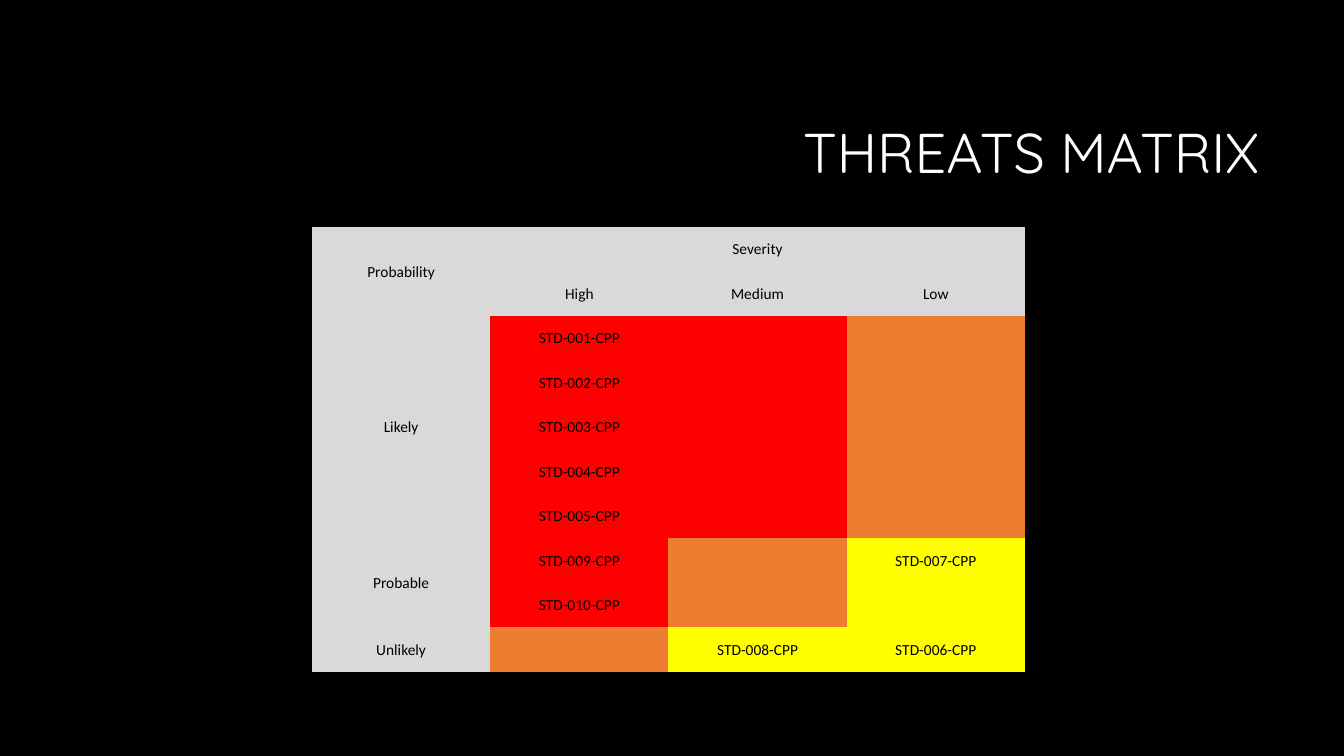
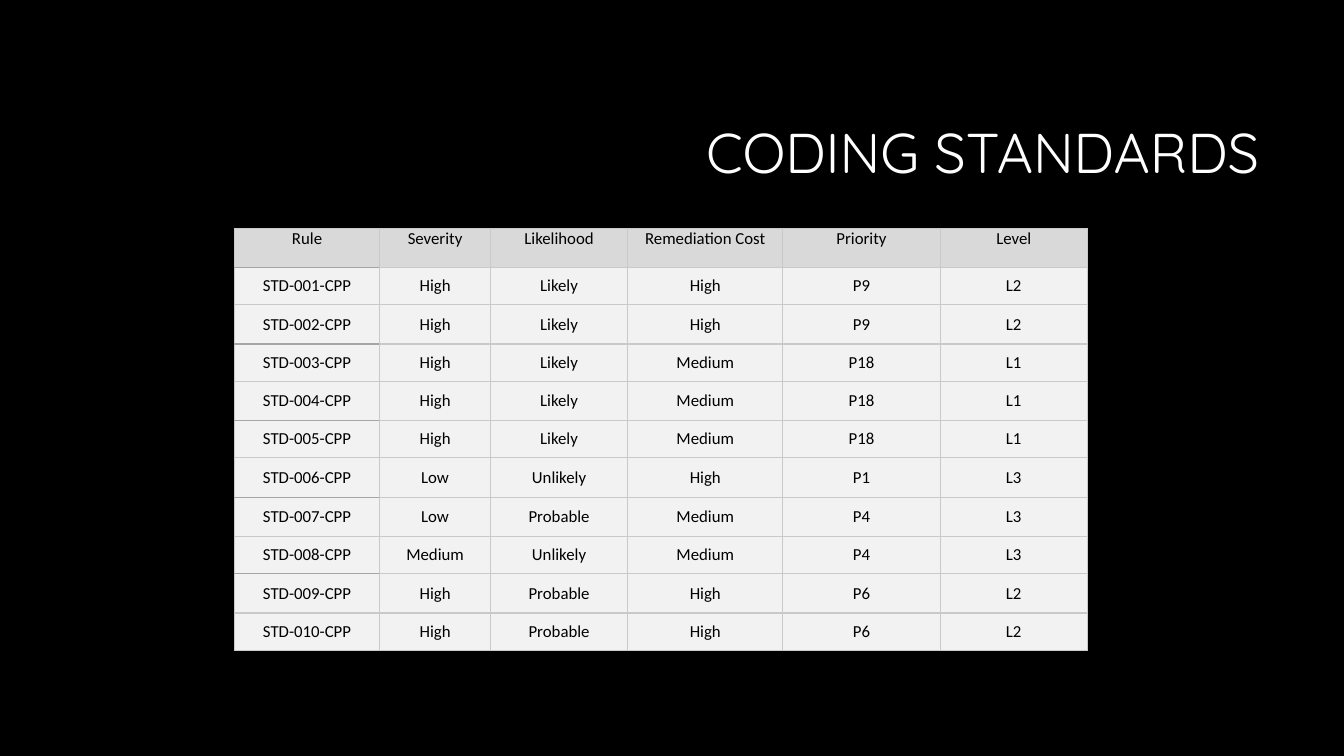
from pptx import Presentation
from pptx.dml.color import RGBColor
from pptx.enum import text
from pptx.oxml import ns, parse_xml
from pptx.util import Pt

BLACK = RGBColor(0x00, 0x00, 0x00)
WHITE = RGBColor(0xFF, 0xFF, 0xFF)
HEADER_GRAY = RGBColor(0xD9, 0xD9, 0xD9)
BODY_GRAY = RGBColor(0xF2, 0xF2, 0xF2)
LIGHT_LINE = RGBColor(0xC9, 0xC9, 0xC9)
DARK_LINE = RGBColor(0xA5, 0xA5, 0xA5)
RED = RGBColor(0xFF, 0x00, 0x00)
ORANGE = RGBColor(0xED, 0x7D, 0x31)
YELLOW = RGBColor(0xFF, 0xFF, 0x00)

TITLE_FONT, TABLE_FONT = "Quicksand", "Calibri"
TITLE_BOX = (228.24, 60.48, 678.24, 101.52)
SIDES = ("L", "R", "T", "B")

# Probability, then one (level colours, rules in each severity column) pair.
THREATS = [
    ("Likely", (RED, RED, ORANGE), [
        ("STD-001-CPP", "", ""),
        ("STD-002-CPP", "", ""),
        ("STD-003-CPP", "", ""),
        ("STD-004-CPP", "", ""),
        ("STD-005-CPP", "", ""),
    ]),
    ("Probable", (RED, ORANGE, YELLOW), [
        ("STD-009-CPP", "", "STD-007-CPP"),
        ("STD-010-CPP", "", ""),
    ]),
    ("Unlikely", (ORANGE, YELLOW, YELLOW), [
        ("", "STD-008-CPP", "STD-006-CPP"),
    ]),
]

STANDARDS = [
    ("Rule", "Severity", "Likelihood", "Remediation Cost", "Priority", "Level"),
    ("STD-001-CPP", "High", "Likely", "High", "P9", "L2"),
    ("STD-002-CPP", "High", "Likely", "High", "P9", "L2"),
    ("STD-003-CPP", "High", "Likely", "Medium", "P18", "L1"),
    ("STD-004-CPP", "High", "Likely", "Medium", "P18", "L1"),
    ("STD-005-CPP", "High", "Likely", "Medium", "P18", "L1"),
    ("STD-006-CPP", "Low", "Unlikely", "High", "P1", "L3"),
    ("STD-007-CPP", "Low", "Probable", "Medium", "P4", "L3"),
    ("STD-008-CPP", "Medium", "Unlikely", "Medium", "P4", "L3"),
    ("STD-009-CPP", "High", "Probable", "High", "P6", "L2"),
    ("STD-010-CPP", "High", "Probable", "High", "P6", "L2"),
]


def style_paragraph(paragraph, alignment, font_name, size, color):
    paragraph.alignment = alignment
    for run in paragraph.runs:
        run.font.name = font_name
        run.font.size = Pt(size)
        run.font.color.rgb = color


def add_titled_slide(presentation, title):
    slide = presentation.slides.add_slide(presentation.slide_layouts[6])
    slide.background.fill.solid()
    slide.background.fill.fore_color.rgb = BLACK
    text_frame = slide.shapes.add_textbox(*map(Pt, TITLE_BOX)).text_frame
    text_frame.word_wrap = True
    text_frame.vertical_anchor = text.MSO_ANCHOR.MIDDLE
    text_frame.text = title
    paragraph = text_frame.paragraphs[0]
    paragraph.line_spacing = 0.9
    style_paragraph(paragraph, text.PP_ALIGN.RIGHT, TITLE_FONT, 40, WHITE)
    return slide


def add_plain_table(slide, left, top, widths, heights):
    shape = slide.shapes.add_table(len(heights), len(widths), Pt(left), Pt(top),
                                   Pt(sum(widths)), Pt(sum(heights)))
    table = shape.table
    table.first_row = table.horz_banding = False
    for column, width in zip(table.columns, widths):
        column.width = Pt(width)
    for row, height in zip(table.rows, heights):
        row.height = Pt(height)
    return table


def set_borders(cell, colors):
    """Draw 1 pt cell borders; a side without a colour gets no line."""
    properties = cell._tc.get_or_add_tcPr()
    for side in SIDES:
        color = colors.get(side)
        fill = (f'<a:solidFill><a:srgbClr val="{color}"/></a:solidFill>'
                if color else "<a:noFill/>")
        properties.append(parse_xml(
            f'<a:ln{side} {ns.nsdecls("a")} w="12700">{fill}</a:ln{side}>'))


def fill_cell(cell, words, size, color, margins, borders,
              anchor=text.MSO_ANCHOR.MIDDLE):
    set_borders(cell, borders)
    cell.fill.solid()
    cell.fill.fore_color.rgb = color
    side_margin, top_margin = margins
    cell.margin_left = cell.margin_right = Pt(side_margin)
    cell.margin_top, cell.margin_bottom = Pt(top_margin), Pt(0)
    cell.vertical_anchor = anchor
    cell.text = words
    style_paragraph(cell.text_frame.paragraphs[0], text.PP_ALIGN.CENTER,
                    TABLE_FONT, size, BLACK)


def add_threat_matrix(slide, left, top, width, height):
    rows = [(("Probability", "Severity", "", ""), (HEADER_GRAY,) * 4),
            (("", "High", "Medium", "Low"), (HEADER_GRAY,) * 4)]
    merges = [(0, 0, 1, 0), (0, 1, 0, 3)]
    for probability, colors, rules in THREATS:
        first = len(rows)
        for index, names in enumerate(rules):
            label = "" if index else probability
            rows.append(((label, *names), (HEADER_GRAY, *colors)))
        if len(rules) > 1:
            merges.append((first, 0, len(rows) - 1, 0))

    table = add_plain_table(slide, left, top, [width / 4] * 4,
                            [height / len(rows)] * len(rows))
    for row, (words, colors) in enumerate(rows):
        for column, (word, color) in enumerate(zip(words, colors)):
            fill_cell(table.cell(row, column), word, 11, color, (0.7, 0.7), {})
    for first_row, first_column, last_row, last_column in merges:
        table.cell(first_row, first_column).merge(
            table.cell(last_row, last_column))


def add_standards_table(slide, left, top, width):
    shares = (1.44, 1.1, 1.36, 1.54, 1.56, 1.46)
    widths = [width * share / sum(shares) for share in shares]
    tall_rows = (0, 2, 4, 6, 7, 9)
    heights = [28.1 if row in tall_rows else 26.6
               for row in range(len(STANDARDS))]
    table = add_plain_table(slide, left, top, widths, heights)
    last = len(STANDARDS) - 1
    for row, words in enumerate(STANDARDS):
        header = row == 0
        for column, word in enumerate(words):
            borders = dict.fromkeys(SIDES, LIGHT_LINE)
            # Every second rule in the first column closes with a darker line.
            if column == 0 and row < last:
                borders["T" if row % 2 else "B"] = DARK_LINE
            fill_cell(table.cell(row, column), word, 12,
                      HEADER_GRAY if header else BODY_GRAY, (5, 0), borders,
                      text.MSO_ANCHOR.TOP if header else text.MSO_ANCHOR.MIDDLE)


def main():
    presentation = Presentation()
    presentation.slide_width, presentation.slide_height = Pt(960), Pt(540)
    add_threat_matrix(add_titled_slide(presentation, "THREATS MATRIX"),
                      222.9, 162, 509.3, 318)
    add_standards_table(add_titled_slide(presentation, "CODING STANDARDS"),
                        167.5, 163, 609.3)
    presentation.save("out.pptx")


if __name__ == "__main__":
    main()
